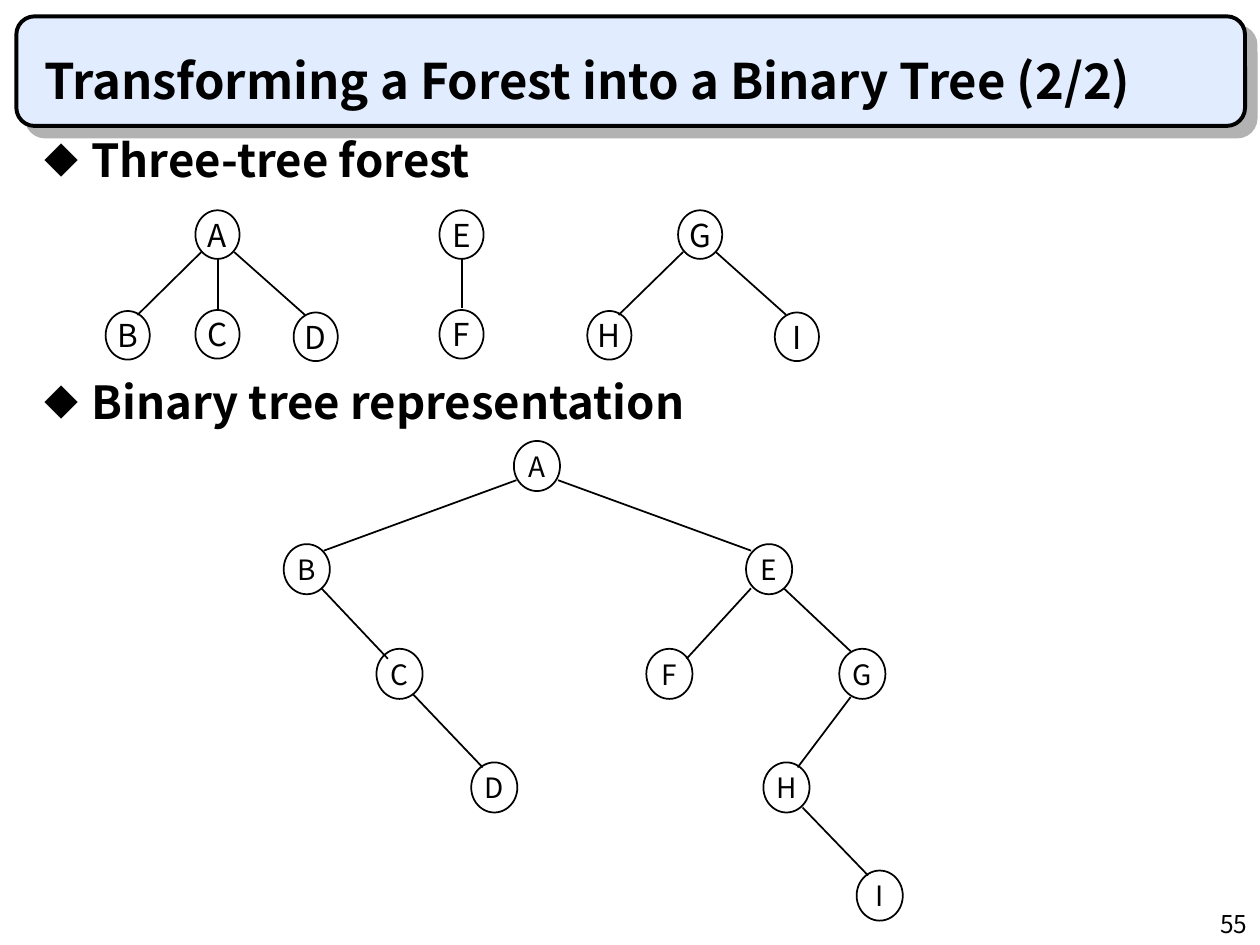
from lxml import etree
from pptx import Presentation
from pptx.dml.color import RGBColor
from pptx.enum.shapes import MSO_CONNECTOR, MSO_SHAPE
from pptx.enum.text import MSO_ANCHOR, MSO_AUTO_SIZE, PP_ALIGN
from pptx.oxml.ns import qn
from pptx.util import Cm, Pt

LEFT, MID, RIGHT = PP_ALIGN.LEFT, PP_ALIGN.CENTER, PP_ALIGN.RIGHT
TOP, CENTRE, BOTTOM = MSO_ANCHOR.TOP, MSO_ANCHOR.MIDDLE, MSO_ANCHOR.BOTTOM
OVAL, ROUND = MSO_SHAPE.OVAL, MSO_SHAPE.ROUNDED_RECTANGLE
LINE = MSO_CONNECTOR.STRAIGHT
FONT = "Noto Sans CJK KR"
BLACK, PALE, GREY = "000000", "E1ECFF", "B2B2B2"

# Content: lengths in cm
TITLE = "Transforming a Forest into a Binary Tree (2/2)"
PAGE = "55"
HEADS = [("Three-tree forest", 2.74), ("Binary tree representation", 7.62)]

# Nodes are (name, left, top); edges are (x1, y1, x2, y2)
FOREST = {
    "size": (0.89, 0.98), "font": 18,
    "nodes": [
        ("A", 3.94, 4.24), ("B", 2.13, 6.27), ("C", 3.94, 6.25),
        ("D", 5.92, 6.3), ("E", 8.86, 4.24), ("F", 8.86, 6.25),
        ("G", 13.67, 4.24), ("H", 11.84, 6.27), ("I", 15.62, 6.3),
    ],
    "edges": [
        (4.06, 5.08, 2.77, 6.35), (4.39, 5.23, 4.39, 6.22),
        (4.72, 5.08, 6.15, 6.35), (9.32, 5.23, 9.32, 6.2),
        (13.77, 5.08, 12.47, 6.35), (14.43, 5.08, 15.85, 6.35),
    ],
}
BINARY = {
    "size": (0.93, 1.01), "font": 16,
    "nodes": [
        ("A", 10.36, 8.89), ("B", 5.72, 10.97), ("C", 7.59, 13.08),
        ("D", 9.5, 15.37), ("E", 15.04, 10.97), ("F", 13.03, 13.08),
        ("G", 16.92, 13.08), ("H", 15.39, 15.37), ("I", 17.27, 17.55),
    ],
    "edges": [
        (10.41, 9.68, 6.53, 11.1), (11.25, 9.68, 15.14, 11.1),
        (6.48, 11.86, 7.82, 13.28), (8.33, 14, 9.73, 15.47),
        (15.14, 11.86, 13.84, 13.28), (15.8, 11.86, 17.15, 13.13),
        (17.15, 14.05, 16.08, 15.47), (16.18, 16.28, 17.5, 17.65),
    ],
}


def rgb(code):
    return RGBColor.from_string(code)


def box(*sides):
    return [Cm(side) for side in sides]


def add(parent, tag, **attrs):
    return etree.SubElement(parent, qn(tag), attrs)


def write(shape, text, size=18, bold=False, align=LEFT, anchor=TOP,
          wrap=True, bullet=None):
    frame = shape.text_frame
    frame.auto_size = MSO_AUTO_SIZE.NONE
    frame.word_wrap = wrap
    frame.vertical_anchor = anchor
    frame.margin_left = frame.margin_right = Cm(0.25)
    frame.margin_top = frame.margin_bottom = Cm(0.13)
    para = frame.paragraphs[0]
    para.alignment = align
    if bullet:
        para.line_spacing = 0.8
        props = para._p.get_or_add_pPr()
        props.set("marL", str(Cm(0.95)))
        props.set("indent", str(-Cm(0.95)))
        add(add(props, "a:buClr"), "a:srgbClr", val=BLACK)
        add(props, "a:buSzPct", val="75000")
        add(props, "a:buFont", typeface=FONT)
        add(props, "a:buChar", char=bullet)
    run = para.add_run()
    run.text = text
    run.font.name, run.font.size, run.font.bold = FONT, Pt(size), bold
    run.font.color.rgb = rgb(BLACK)


def draw(slide, tree):
    group = slide.shapes.add_group_shape().shapes
    for name, left, top in tree["nodes"]:
        node = group.add_shape(OVAL, *box(left, top, *tree["size"]))
        node.shadow.inherit = False
        node.fill.background()
        node.line.color.rgb = rgb(BLACK)
        node.line.width = Pt(1)
        write(node, name, size=tree["font"], align=MID, anchor=CENTRE,
              wrap=False)
    for ends in tree["edges"]:
        edge = group.add_connector(LINE, *box(*ends))
        edge.line.color.rgb = rgb(BLACK)
        edge.line.width = Pt(1)
        add(edge._element.spPr, "a:effectLst")


def main():
    deck = Presentation()
    deck.slide_width, deck.slide_height = box(25.4, 19.05)
    slide = deck.slides.add_slide(deck.slide_layouts[5])
    shapes = slide.shapes
    title = shapes.title

    # Title panel with a hard grey shadow
    panel = shapes.add_shape(ROUND, *box(0.33, 0.33, 24.77, 2.21))
    panel.fill.solid()
    panel.fill.fore_color.rgb = rgb(PALE)
    panel.line.color.rgb = rgb(BLACK)
    panel.line.width = Pt(2.25)
    panel.shadow.inherit = False
    glow = add(panel._element.spPr.find(qn("a:effectLst")), "a:outerShdw",
               blurRad="0", dist=str(Pt(8.5)), dir="2700000", algn="ctr",
               rotWithShape="0")
    add(glow, "a:srgbClr", val=GREY)

    # Title, in front of the panel
    shapes._spTree.append(title._element)
    title.left, title.top, title.width, title.height = box(
        0.64, 0.64, 23.93, 1.7)
    write(title, TITLE, size=28, bold=True, anchor=BOTTOM)

    # Headings and trees
    for text, top in HEADS:
        head = shapes.add_textbox(*box(0.64, top, 23.93, 1.27))
        write(head, text, size=26, bold=True, bullet="◆")
    for tree in (FOREST, BINARY):
        draw(slide, tree)

    # Page number
    page = shapes.add_textbox(*box(20.12, 18.2, 5.28, 0.85))
    write(page, PAGE, size=14, align=RIGHT)

    deck.save("out.pptx")


if __name__ == "__main__":
    main()
